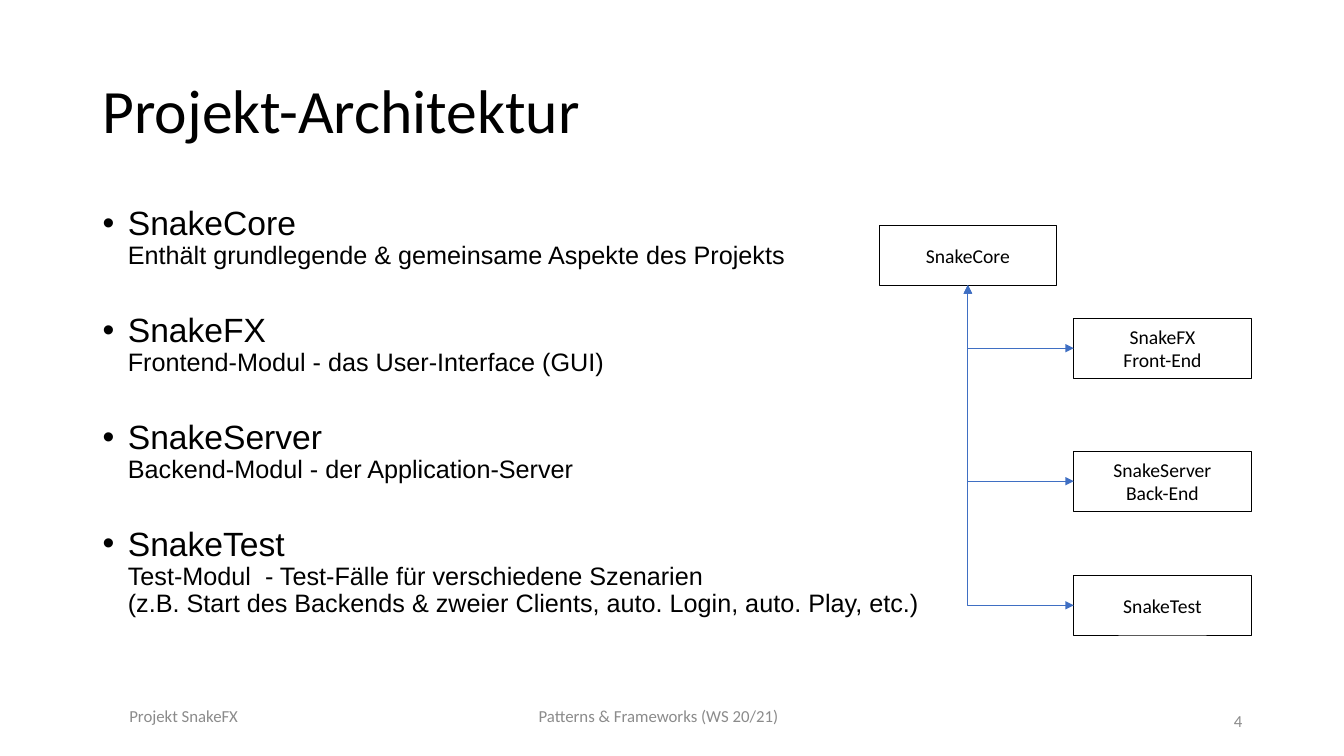
from lxml import etree
from pptx import Presentation
from pptx.dml.color import RGBColor
from pptx.enum import shapes, text
from pptx.oxml import ns
from pptx.util import Inches, Pt

BLACK, WHITE, GREY, BLUE = "000000", "FFFFFF", "8B8B8B", "3F6FC3"
LEFT, CENTER, RIGHT = text.PP_ALIGN.LEFT, text.PP_ALIGN.CENTER, text.PP_ALIGN.RIGHT

TITLE = "Projekt-Architektur"
MODULES = [
    ("SnakeCore", "Enthält grundlegende & gemeinsame Aspekte des Projekts"),
    ("SnakeFX", "Frontend-Modul - das User-Interface (GUI)"),
    ("SnakeServer", "Backend-Modul - der Application-Server"),
    ("SnakeTest", "Test-Modul  - Test-Fälle für verschiedene Szenarien\v"
                  "(z.B. Start des Backends & zweier Clients, auto. Login, auto. Play, etc.)"),
]
CORE = ("SnakeCore", 8.72, 2.24)
DEPENDENTS = [  # label, left, top
    ("SnakeFX\nFront-End", 10.65, 3.16),
    ("SnakeServer\nBack-End", 10.65, 4.48),
    ("SnakeTest", 10.65, 5.71),
]
BOX_SIZE = (1.76, 0.59)
FOOTERS = [  # label, left, top
    ("Projekt SnakeFX", -0.54, 6.9),
    ("Patterns & Frameworks (WS 20/21)", 4.82, 6.9),
    ("4", 9.42, 6.95),
]
FOOTER_SIZE = (3, 0.4)


def color(hex_code):
    return RGBColor.from_string(hex_code)


def style_runs(paragraph, size, font="Calibri", hex_code=BLACK):
    for run in paragraph.runs:
        run.font.size = Pt(size)
        run.font.name = font
        run.font.color.rgb = color(hex_code)


def write(frame, content, size, align=LEFT, hex_code=BLACK):
    """Fill a frame with vertically centred Calibri text."""
    frame.word_wrap = True
    frame.vertical_anchor = text.MSO_ANCHOR.MIDDLE
    frame.text = content
    for paragraph in frame.paragraphs:
        paragraph.alignment = align
        style_runs(paragraph, size, hex_code=hex_code)


def add_label(slide, box, *args, **kwargs):
    label = slide.shapes.add_textbox(*map(Inches, box))
    write(label.text_frame, *args, **kwargs)
    return label


def add_bullet(paragraph):
    props = paragraph._p.get_or_add_pPr()
    props.set("marL", str(Inches(0.25)))
    props.set("indent", str(Inches(-0.25)))
    etree.SubElement(props, ns.qn("a:buFont"), typeface="Arial")
    etree.SubElement(props, ns.qn("a:buChar"), char="•")


def add_module_list(slide):
    frame = slide.shapes.add_textbox(*map(Inches, (0.92, 2, 8.53, 4.76))).text_frame
    frame.word_wrap = True
    for i, (name, description) in enumerate(MODULES):
        paragraph = frame.add_paragraph() if i else frame.paragraphs[0]
        paragraph.text = f"{name}\v{description}"
        paragraph.line_spacing = 0.9
        paragraph.space_before = Pt(10)
        paragraph.space_after = Pt(21)
        add_bullet(paragraph)
        style_runs(paragraph, 18, "Arial")
        paragraph.runs[0].font.size = Pt(24)


def add_module_box(slide, label, left, top):
    box = slide.shapes.add_shape(shapes.MSO_SHAPE.RECTANGLE,
                                 *map(Inches, (left, top, *BOX_SIZE)))
    box.shadow.inherit = False
    box.fill.solid()
    box.fill.fore_color.rgb = color(WHITE)
    box.line.color.rgb = color(BLACK)
    box.line.width = Pt(0.5)
    write(box.text_frame, label, 14, CENTER)
    return box


def link(slide, module, core):
    """Join a module's left side to the core's bottom with one right-angle bend."""
    arrow = slide.shapes.add_connector(
        shapes.MSO_CONNECTOR.ELBOW,
        module.left, module.top + module.height // 2,
        core.left + core.width // 2, core.top + core.height)
    arrow.begin_connect(module, 1)
    arrow.end_connect(core, 2)
    arrow.line.color.rgb = color(BLUE)
    arrow.line.width = Pt(0.75)
    props = arrow._element.spPr
    props.find(ns.qn("a:prstGeom")).set("prst", "bentConnector2")
    line = props.find(ns.qn("a:ln"))
    for end in ("a:headEnd", "a:tailEnd"):
        etree.SubElement(line, ns.qn(end), type="triangle")
    etree.SubElement(props, ns.qn("a:effectLst"))


def main():
    prs = Presentation()
    prs.slide_width, prs.slide_height = Inches(13.33), Inches(7.5)
    slide = prs.slides.add_slide(prs.slide_layouts[6])

    title = add_label(slide, (0.92, 0.4, 11.5, 1.45), TITLE, 44)
    title.text_frame.paragraphs[0].line_spacing = 0.9
    add_module_list(slide)
    for label, left, top in FOOTERS:
        add_label(slide, (left, top, *FOOTER_SIZE), label, 12, RIGHT, GREY)

    core = add_module_box(slide, *CORE)
    dependents = [add_module_box(slide, *dependent) for dependent in DEPENDENTS]
    for module in dependents:
        link(slide, module, core)

    prs.save("out.pptx")


if __name__ == "__main__":
    main()
